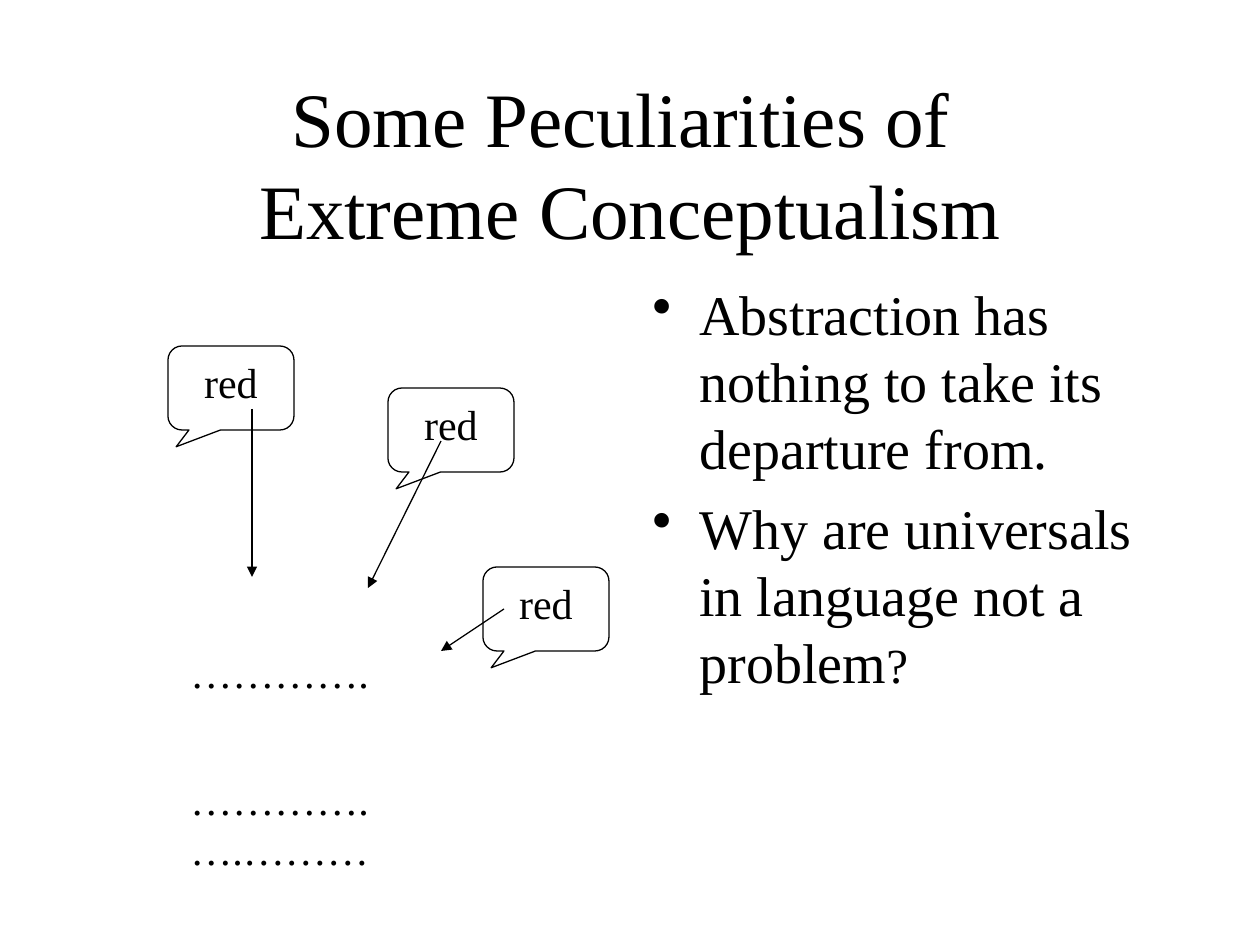
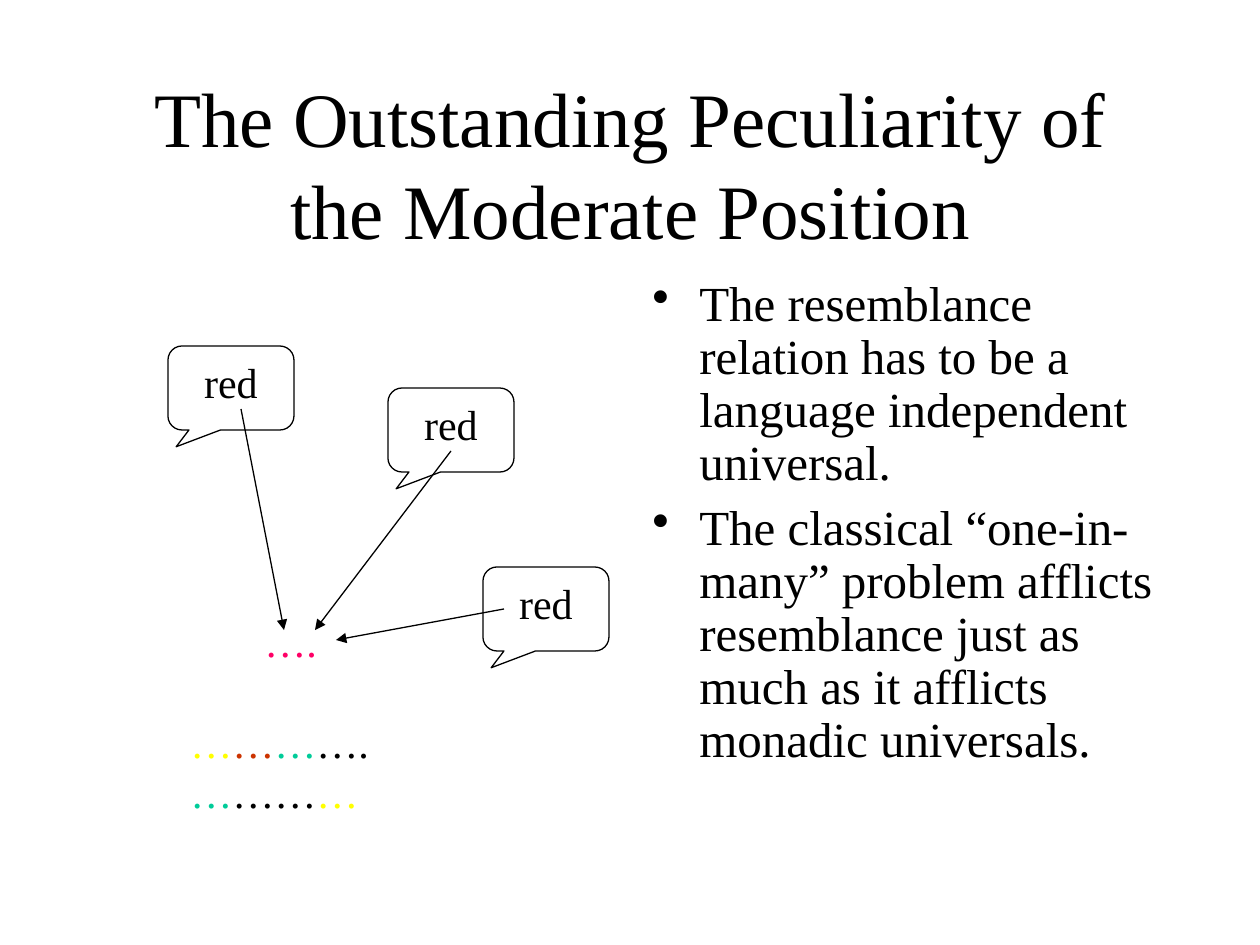
from lxml.etree import SubElement
from pptx import Presentation
from pptx.dml.color import RGBColor
from pptx.enum.shapes import MSO_CONNECTOR, MSO_SHAPE
from pptx.enum.text import MSO_ANCHOR, MSO_AUTO_SIZE, PP_ALIGN
from pptx.oxml.ns import qn
from pptx.util import Emu, Pt

EMU_PER_PX = 914400 / 126
TITLE_ONLY = 5
FONT = "Times New Roman"
COLORS = {
    "black": "000000",
    "white": "FFFFFF",
    "pink": "FF0066",
    "yellow": "FFFF00",
    "rust": "CC3300",
    "green": "00CC99",
}
TITLE_BOX = (95, 84, 1071, 158)
BODY_BOX = (640, 273, 525, 567)
BULLET_INDENT = 47
CALLOUT_SIZE = (126, 84)
CALLOUT_CORNERS = [(168, 346), (388, 388), (483, 567)]
CALLOUT_TAIL = (-0.435, 0.7, 0.167)


def px(length):
    return Emu(round(length * EMU_PER_PX))


def rgb(name):
    return RGBColor.from_string(COLORS[name])


def style_paragraph(paragraph, size, align=PP_ALIGN.LEFT, color="black"):
    paragraph.alignment = align
    paragraph.font.name = FONT
    paragraph.font.size = Pt(size)
    paragraph.font.color.rgb = rgb(color)


def set_title(slide, text):
    title = slide.shapes.title
    title.left, title.top, title.width, title.height = map(px, TITLE_BOX)
    frame = title.text_frame
    frame.auto_size = MSO_AUTO_SIZE.NONE
    frame.vertical_anchor = MSO_ANCHOR.MIDDLE
    frame.text = text
    style_paragraph(frame.paragraphs[0], 44, PP_ALIGN.CENTER)


def add_text_frame(slide, box):
    frame = slide.shapes.add_textbox(*map(px, box)).text_frame
    frame.word_wrap = True
    return frame


def next_paragraph(frame, index, space_before):
    """Return the first paragraph, or a new one set off by space_before points."""
    if index == 0:
        return frame.paragraphs[0]
    paragraph = frame.add_paragraph()
    paragraph.space_before = Pt(space_before)
    return paragraph


def add_bullets(slide, bullets, size, line_spacing=None):
    """Add bullets, each a list of (text, size) runs; size None keeps the common size."""
    frame = add_text_frame(slide, BODY_BOX)
    for index, runs in enumerate(bullets):
        paragraph = next_paragraph(frame, index, 7)
        paragraph.line_spacing = line_spacing
        properties = paragraph._p.get_or_add_pPr()
        properties.set("marL", str(px(BULLET_INDENT)))
        properties.set("indent", str(px(-BULLET_INDENT)))
        SubElement(properties, qn("a:buChar"), char="•")
        style_paragraph(paragraph, size)
        for text, run_size in runs:
            run = paragraph.add_run()
            run.text = text
            if run_size:
                run.font.size = Pt(run_size)


def add_callouts(slide):
    for left, top in CALLOUT_CORNERS:
        callout = slide.shapes.add_shape(
            MSO_SHAPE.ROUNDED_RECTANGULAR_CALLOUT,
            *map(px, (left, top, *CALLOUT_SIZE)))
        for index, value in enumerate(CALLOUT_TAIL):
            callout.adjustments[index] = value
        callout.shadow.inherit = False
        callout.fill.solid()
        callout.fill.fore_color.rgb = rgb("white")
        callout.line.color.rgb = rgb("black")
        callout.line.width = Pt(0.75)
        frame = callout.text_frame
        frame.vertical_anchor = MSO_ANCHOR.TOP
        frame.text = "red"
        style_paragraph(frame.paragraphs[0], 24, PP_ALIGN.CENTER)


def add_dots(slide, box, rows, row_gap, first_indent=0):
    """Add rows of dots, each a list of (dots, colour) runs, row_gap points apart."""
    frame = add_text_frame(slide, box)
    for index, runs in enumerate(rows):
        paragraph = next_paragraph(frame, index, row_gap)
        style_paragraph(paragraph, 24)
        for dots, color in runs:
            run = paragraph.add_run()
            run.text = dots
            run.font.color.rgb = rgb(color)
    frame.paragraphs[0]._p.get_or_add_pPr().set("marL", str(px(first_indent)))


def add_arrows(slide, arrows):
    for start, end in arrows:
        arrow = slide.shapes.add_connector(
            MSO_CONNECTOR.STRAIGHT, *map(px, (*start, *end)))
        arrow.line.color.rgb = rgb("black")
        arrow.line.width = Pt(0.75)
        SubElement(arrow.line._get_or_add_ln(), qn("a:tailEnd"), type="triangle")
        SubElement(arrow._element.spPr, qn("a:effectLst"))


def add_titled_slide(presentation, title):
    slide = presentation.slides.add_slide(presentation.slide_layouts[TITLE_ONLY])
    set_title(slide, title)
    return slide


def build_extreme_conceptualism(presentation):
    slide = add_titled_slide(
        presentation, "Some Peculiarities of \vExtreme Conceptualism")
    add_bullets(slide, [
        [("Abstraction has nothing to take its departure from.", None)],
        [("Why are universals in language not a problem", None), ("?", 28)],
    ], size=32)
    add_callouts(slide)
    add_dots(slide, (178, 640, 210, 241),
             [[("………….", "black")], [("………….….………", "black")]], row_gap=44)
    add_arrows(slide, [
        ((252, 409), (252, 577)),
        ((504, 609), (441, 651)),
        ((441, 441), (368, 588)),
    ])


def build_moderate_position(presentation):
    slide = add_titled_slide(
        presentation, "The Outstanding Peculiarity of\vthe Moderate Position")
    add_bullets(slide, [
        [("The resemblance relation has to be a language independent universal.",
          None)],
        [("The classical “one-in-many” problem afflicts resemblance just as much "
          "as it afflicts monadic universals.", None)],
    ], size=28, line_spacing=0.9)
    add_callouts(slide)
    add_dots(slide, (178, 609, 210, 214), [
        [("….", "pink")],
        [("…", "yellow"), ("…", "rust"), ("…", "green"), ("….", "black"),
         ("…", "green"), ("……", "black"), ("…", "yellow")],
    ], row_gap=29, first_indent=74)
    add_arrows(slide, [
        ((241, 409), (284, 630)),
        ((451, 451), (315, 630)),
        ((504, 609), (336, 640)),
    ])


def main():
    presentation = Presentation()
    presentation.slide_width, presentation.slide_height = px(1260), px(945)
    build_extreme_conceptualism(presentation)
    build_moderate_position(presentation)
    presentation.save("out.pptx")


if __name__ == "__main__":
    main()
